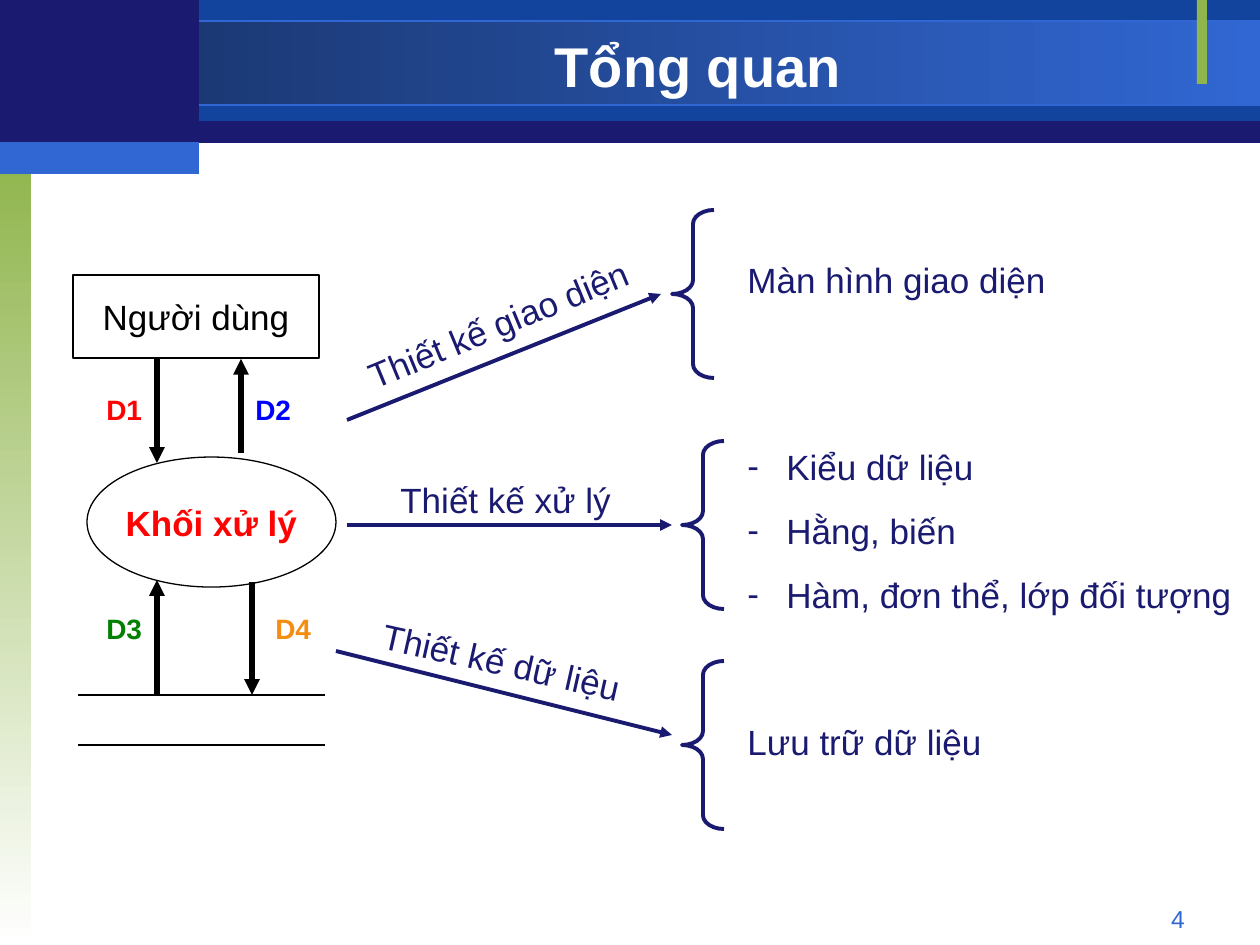
from lxml import etree
from pptx import Presentation
from pptx import util as u
from pptx.dml.color import RGBColor
from pptx.enum import shapes, text
from pptx.oxml.ns import qn

COLORS = {
    "navy": "1A1A70", "blue": "12449E", "dusk": "173062", "sky": "3167D3",
    "leaf": "90B54D", "white": "FFFFFF", "black": "000000", "red": "FF0303",
    "pure_blue": "0000FF", "green": "008000", "orange": "F48D10",
}
ALIGN = text.PP_ALIGN
KIND = shapes.MSO_SHAPE


def px(n):
    return u.Emu(round(n * 914400 / 126))


def rgb(name):
    return RGBColor.from_string(COLORS[name])


def write(frame, content, size=20, color="navy", bold=False, align=ALIGN.LEFT,
          middle=False, wrap=True, grow=False, before=0, bullet=None):
    frame.word_wrap = wrap
    frame.vertical_anchor = text.MSO_ANCHOR.MIDDLE if middle else text.MSO_ANCHOR.TOP
    if grow:
        frame.auto_size = text.MSO_AUTO_SIZE.SHAPE_TO_FIT_TEXT
    for i, line in enumerate(content.split("\n")):
        par = frame.add_paragraph() if i else frame.paragraphs[0]
        par.alignment = align
        par.space_before = u.Pt(before)
        run = par.add_run()
        run.text = line
        run.font.name = "Arial"
        run.font.size = u.Pt(size)
        run.font.bold = bold
        run.font.color.rgb = rgb(color)
        if bullet:
            props = par._p.get_or_add_pPr()
            props.set("marL", str(px(39)))
            props.set("indent", str(-px(39)))
            etree.SubElement(props, qn("a:buFont"), typeface="Arial")
            etree.SubElement(props, qn("a:buChar"), char=bullet)


class Deck:
    def __init__(self, font_size=20):
        self.prs = Presentation()
        self.prs.slide_width, self.prs.slide_height = px(1260), px(945)
        self.slide = self.prs.slides.add_slide(self.prs.slide_layouts[6])
        self.canvas = self.slide.shapes
        self.font_size = font_size

    def group(self):
        self.canvas = self.slide.shapes.add_group_shape().shapes

    def shape(self, kind, x, y, w, h, fill=None, line=None, weight=0.75):
        item = self.canvas.add_shape(kind, px(x), px(y), px(w), px(h))
        item.shadow.inherit = False
        if fill:
            item.fill.solid()
            item.fill.fore_color.rgb = rgb(fill)
        else:
            item.fill.background()
        if line:
            item.line.color.rgb = rgb(line)
            item.line.width = u.Pt(weight)
        else:
            item.line.fill.background()
        return item

    def gradient(self, x, y, w, h, start, end, angle, line=None):
        band = self.shape(KIND.RECTANGLE, x, y, w, h, line=line)
        band.fill.gradient()
        band.fill.gradient_angle = angle
        for stop, color in zip(band.fill.gradient_stops, (start, end)):
            stop.color.rgb = rgb(color)

    def node(self, kind, x, y, w, h, content, **style):
        item = self.shape(kind, x, y, w, h, line="black")
        write(item.text_frame, content, size=self.font_size, align=ALIGN.CENTER,
              middle=True, wrap=False, **style)

    def label(self, x, y, w, h, content, turn=0, **style):
        box = self.canvas.add_textbox(px(x), px(y), px(w), px(h))
        box.rotation = turn
        write(box.text_frame, content, **style)

    def line(self, x1, y1, x2, y2, color="black", weight=0.75, arrow=False):
        link = self.canvas.add_connector(
            shapes.MSO_CONNECTOR.STRAIGHT, px(x1), px(y1), px(x2), px(y2))
        link.line.color.rgb = rgb(color)
        link.line.width = u.Pt(weight)
        if arrow:
            etree.SubElement(link.line._get_or_add_ln(), qn("a:tailEnd"), type="triangle")
        etree.SubElement(link._element.spPr, qn("a:effectLst"))

    def brace(self, x, y):
        item = self.shape(KIND.LEFT_BRACE, x, y, 42, 168, line="navy", weight=2.25)
        item.adjustments[0] = 0.33


def draw_frame(deck):
    deck.shape(KIND.RECTANGLE, 0, 1, 1260, 142, "navy")
    deck.shape(KIND.RECTANGLE, 199, 0, 1061, 121, "blue")
    deck.gradient(0, 21, 1260, 84, "dusk", "sky", 0, line="sky")
    deck.gradient(0, 158, 31, 787, "leaf", "white", 270)
    deck.shape(KIND.RECTANGLE, 1197, 0, 10, 84, "leaf")
    deck.shape(KIND.RECTANGLE, 0, 0, 199, 147, "navy")
    deck.shape(KIND.RECTANGLE, 0, 142, 199, 32, "sky")
    deck.label(903, 898, 294, 34, "4", size=14, color="sky", align=ALIGN.RIGHT)
    deck.label(199, 29, 998, 73, "Tổng quan", size=32, color="white", bold=True,
               align=ALIGN.CENTER, middle=True)


def draw_data_flow(deck):
    deck.group()
    deck.node(KIND.RECTANGLE, 73, 275, 246, 83, "Người dùng", color="black")
    deck.node(KIND.OVAL, 87, 457, 249, 130, "Khối xử lý", color="red", bold=True)
    for y in (695, 745):
        deck.line(78, y, 325, y)
    flows = [
        ("D1", "red", 94, 386, 157, 359, 463),
        ("D2", "pure_blue", 243, 386, 241, 453, 359),
        ("D3", "green", 94, 605, 157, 695, 580),
        ("D4", "orange", 263, 605, 252, 582, 695),
    ]
    for name, color, x, y, arrow_x, start, end in flows:
        deck.line(arrow_x, start, arrow_x, end, weight=3, arrow=True)
        deck.label(x, y, 62, 47, name, size=16, color=color, bold=True,
                   wrap=False, grow=True)


def draw_designs(deck):
    designs = [
        ("Thiết kế giao diện", (347, 294, 315, 55), 337.5, (347, 420, 661, 294),
         (672, 210), "Màn hình giao diện", (735, 252, 346, 55), None),
        ("Thiết kế xử lý", (388, 472, 242, 55), 0, (347, 525, 672, 525),
         (682, 441), "Kiểu dữ liệu\nHằng, biến\nHàm, đơn thể, lớp đối tượng",
         (735, 439, 514, 183), "-"),
        ("Thiết kế dữ liệu", (368, 635, 273, 55), 12.7, (336, 651, 672, 735),
         (682, 661), "Lưu trữ dữ liệu", (735, 714, 346, 55), None),
    ]
    for name, name_box, turn, arrow, brace, result, result_box, bullet in designs:
        deck.group()
        deck.line(*arrow, color="navy", weight=2.25, arrow=True)
        deck.label(*name_box, name, turn=turn, before=12.5, grow=True)
        deck.brace(*brace)
        deck.label(*result_box, result, before=12.5, bullet=bullet, grow=True)


def main():
    deck = Deck()
    draw_frame(deck)
    draw_data_flow(deck)
    draw_designs(deck)
    deck.prs.save("out.pptx")


if __name__ == "__main__":
    main()
